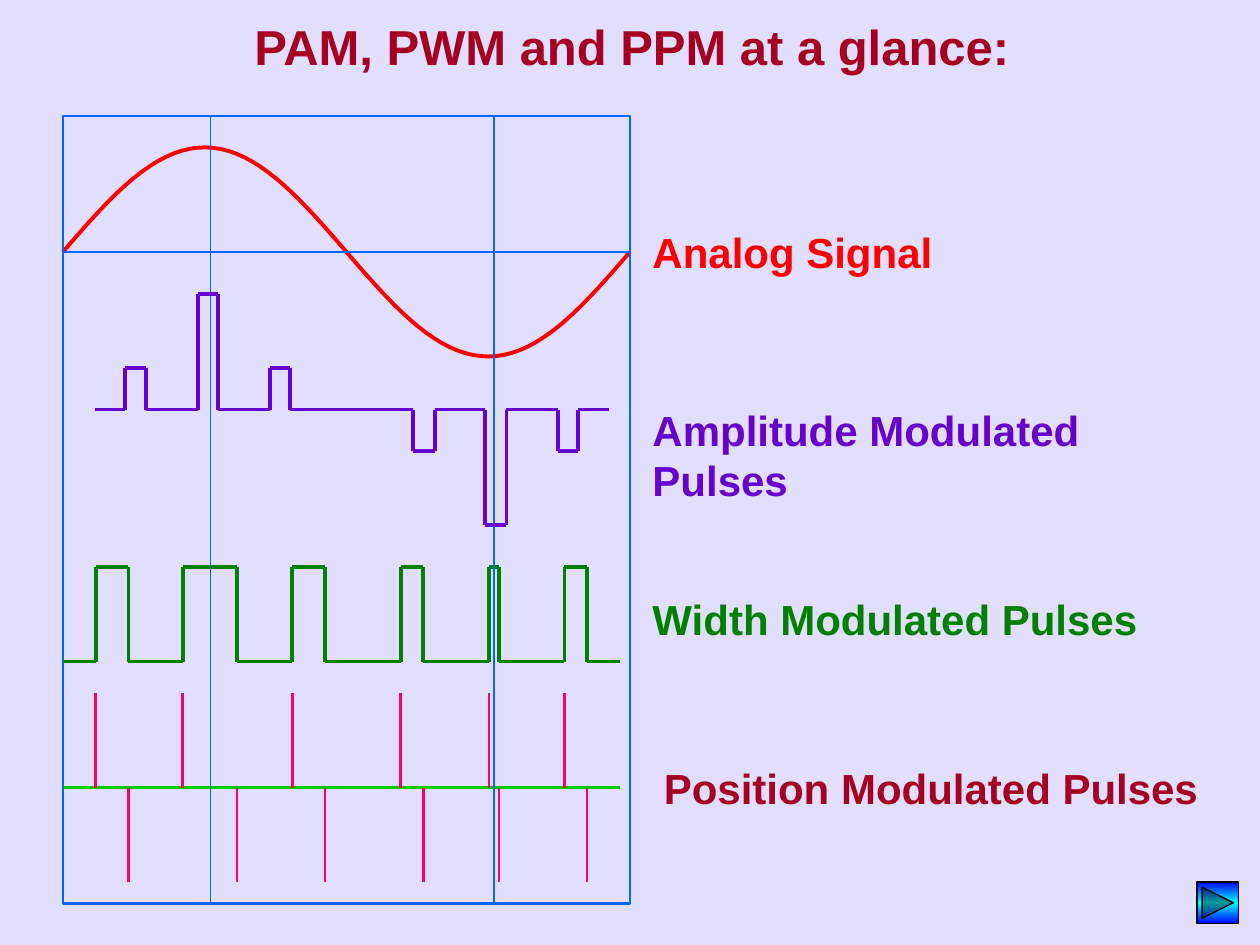
from copy import deepcopy
from math import pi, sin

from pptx import Presentation
from pptx.dml.color import RGBColor
from pptx.enum.shapes import MSO_CONNECTOR, MSO_SHAPE
from pptx.enum.text import MSO_AUTO_SIZE
from pptx.oxml.ns import qn
from pptx.util import Inches, Pt
from lxml.etree import SubElement

THEME = {
    "font": "Arial", "title_size": 28, "label_size": 24,
    "background": "E1DFFD", "title": "A50021", "frame": "0066FF",
    "analog": "FF0000", "amplitude": "6600CC", "width": "008000",
    "position": "FF0066", "position_axis": "00CC00",
    "button": ["0000FF", "00FFFF", "0000FF"], "button_line": "000000",
    "thin": 0.75, "medium": 1.5, "thick": 2.25,
}

TITLE = ("PAM, PWM and PPM at a glance:", (1.92, 0.08, 6.25, 0.57))
LABELS = [
    ("Analog Signal", (5.08, 1.75, 2.42, 0.5), "analog", False),
    ("Amplitude Modulated Pulses", (5.08, 3.16, 4.75, 0.5), "amplitude", False),
    ("Width Modulated Pulses", (5.08, 4.66, 4.05, 0.5), "width", False),
    ("Position Modulated Pulses", (5.17, 6, 4.58, 0.5), "title", True),
]

FRAME = (0.5, 0.92, 4.5, 6.25)
PEAKS = [1.67, 3.92]
ANALOG_AXIS, ANALOG_HEIGHT, ANALOG_STEPS = 2, 0.83, 72
BUTTON = (9.5, 7, 0.33, 0.33)

AMPLITUDE_AXIS, AMPLITUDE_SPAN = 3.25, (0.75, 4.83)
AMPLITUDE_PULSES = [
    (0.99, 1.16, 2.92), (1.57, 1.73, 2.33), (2.14, 2.3, 2.92),
    (3.28, 3.45, 3.58), (3.85, 4.02, 4.17), (4.43, 4.59, 3.58),
]
WIDTH_AXIS, WIDTH_TOP, WIDTH_SPAN = 5.25, 4.5, (0.5, 4.92)
WIDTH_EDGES = [(0.76, 1.02), (1.45, 1.88), (2.32, 2.58),
               (3.18, 3.36), (3.88, 3.96), (4.48, 4.66)]
POSITION_AXIS, POSITION_HEIGHT = 6.25, 0.75


def color(name):
    """Return the theme colour with this name."""
    return RGBColor.from_string(THEME[name])


def add_text(slide, text, *, box, ink, size, wrap=True):
    """Add one line of bold text."""
    shape = slide.shapes.add_textbox(*map(Inches, box))
    frame = shape.text_frame
    frame.word_wrap = wrap
    frame.auto_size = MSO_AUTO_SIZE.SHAPE_TO_FIT_TEXT
    paragraph = frame.paragraphs[0]
    paragraph.text = text
    font = paragraph.runs[0].font
    font.name, font.size, font.bold = THEME["font"], Pt(THEME[size]), True
    font.color.rgb = color(ink)


def set_line(shape, ink, weight):
    """Set the outline of a shape or connector."""
    shape.line.color.rgb = color(ink)
    shape.line.width = Pt(THEME[weight])


def add_line(shapes, start, end, ink, weight):
    """Add a straight line between two points."""
    line = shapes.add_connector(MSO_CONNECTOR.STRAIGHT, *map(Inches, start + end))
    set_line(line, ink, weight)
    SubElement(line._element.spPr, qn("a:effectLst"))


def add_pulses(slide, pulses, axis, span, ink):
    """Add a train of rectangular pulses joined along the axis."""
    shapes = slide.shapes.add_group_shape().shapes
    points = [(span[0], axis)]
    for left, right, level in pulses:
        points += [(left, axis), (left, level), (right, level), (right, axis)]
    points.append((span[1], axis))
    for start, end in zip(points, points[1:]):
        add_line(shapes, start, end, ink, "thick")


def add_positions(slide):
    """Add an upward mark at each pulse start and a downward one at its end."""
    shapes = slide.shapes.add_group_shape().shapes
    left, right = WIDTH_SPAN
    add_line(shapes, (left, POSITION_AXIS), (right, POSITION_AXIS), "position_axis", "medium")
    for rise, fall in WIDTH_EDGES:
        for x, height in ((rise, -POSITION_HEIGHT), (fall, POSITION_HEIGHT)):
            add_line(shapes, (x, POSITION_AXIS), (x, POSITION_AXIS + height), "position", "medium")


def add_analog(slide):
    """Add one period of the sine wave across the frame."""
    left, _, width, _ = FRAME
    points = [
        (Inches(left + width * step / ANALOG_STEPS),
         Inches(ANALOG_AXIS - ANALOG_HEIGHT * sin(2 * pi * step / ANALOG_STEPS)))
        for step in range(ANALOG_STEPS + 1)
    ]
    builder = slide.shapes.build_freeform(*points[0])
    builder.add_line_segments(points[1:], close=False)
    wave = builder.convert_to_shape()
    wave.shadow.inherit = False
    wave.fill.background()
    set_line(wave, "analog", "thick")


def add_frame(slide):
    """Add the diagram frame with its guide lines."""
    left, top, width, height = FRAME
    frame = slide.shapes.add_shape(MSO_SHAPE.RECTANGLE, *map(Inches, FRAME))
    frame.shadow.inherit = False
    frame.fill.background()
    set_line(frame, "frame", "medium")
    guides = [((x, top), (x, top + height)) for x in PEAKS]
    guides.append(((left, ANALOG_AXIS), (left + width, ANALOG_AXIS)))
    for start, end in guides:
        add_line(slide.shapes, start, end, "frame", "thin")


def add_button(slide):
    """Add the forward button with a three-stop gradient."""
    button = slide.shapes.add_shape(MSO_SHAPE.ACTION_BUTTON_FORWARD_OR_NEXT, *map(Inches, BUTTON))
    button.shadow.inherit = False
    button.fill.gradient()
    button.fill.gradient_angle = 270
    stop_list = button._element.spPr.find(".//" + qn("a:gsLst"))
    stop_list.append(deepcopy(stop_list[-1]))
    for index, stop in enumerate(button.fill.gradient_stops):
        stop.position = index / 2
        stop.color.rgb = RGBColor.from_string(THEME["button"][index])
    set_line(button, "button_line", "thin")


def main():
    """Build the slide and save it."""
    presentation = Presentation()
    presentation.slide_width, presentation.slide_height = Inches(10), Inches(7.5)
    slide = presentation.slides.add_slide(presentation.slide_layouts[6])
    slide.background.fill.solid()
    slide.background.fill.fore_color.rgb = color("background")

    text, box = TITLE
    add_text(slide, text, box=box, ink="title", size="title_size")
    add_positions(slide)
    for text, box, ink, wrap in LABELS:
        add_text(slide, text, box=box, ink=ink, size="label_size", wrap=wrap)
    add_button(slide)
    width_pulses = [(rise, fall, WIDTH_TOP) for rise, fall in WIDTH_EDGES]
    add_pulses(slide, width_pulses, WIDTH_AXIS, WIDTH_SPAN, "width")
    add_analog(slide)
    add_frame(slide)
    add_pulses(slide, AMPLITUDE_PULSES, AMPLITUDE_AXIS, AMPLITUDE_SPAN, "amplitude")
    presentation.save("out.pptx")


if __name__ == "__main__":
    main()
